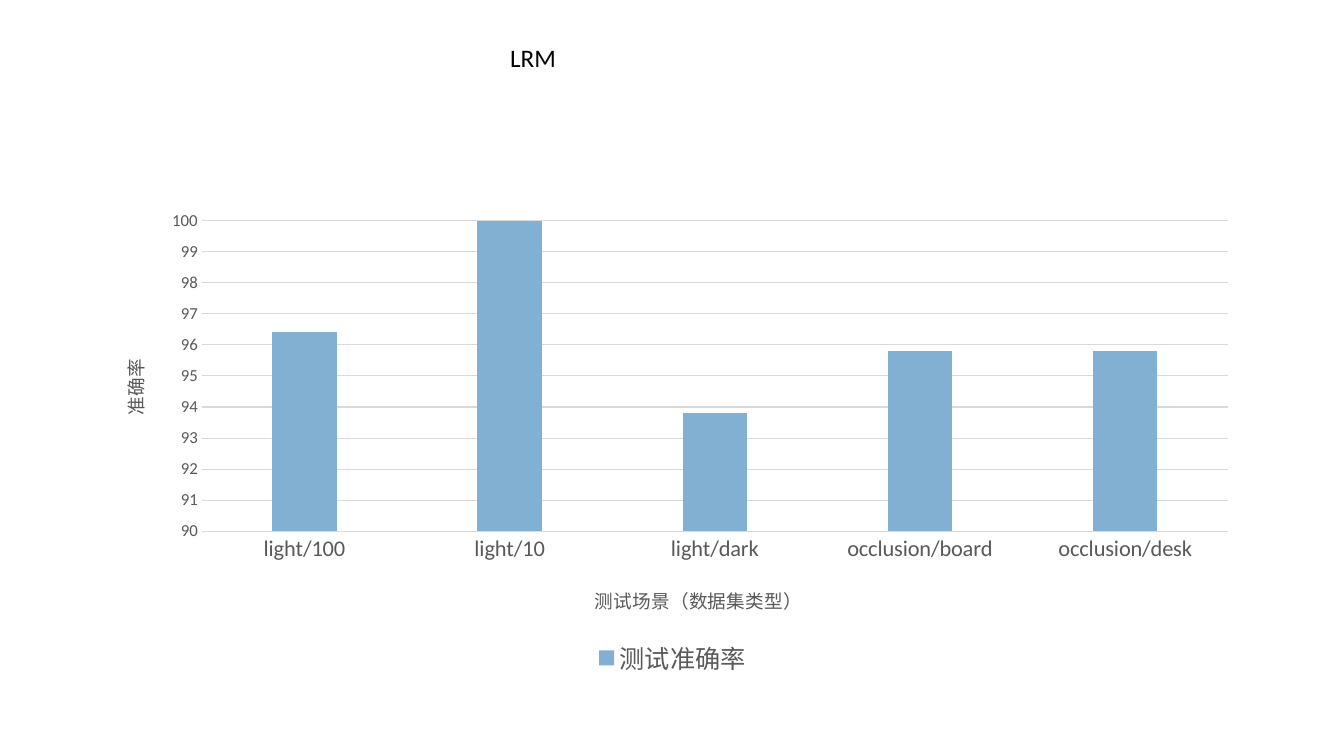
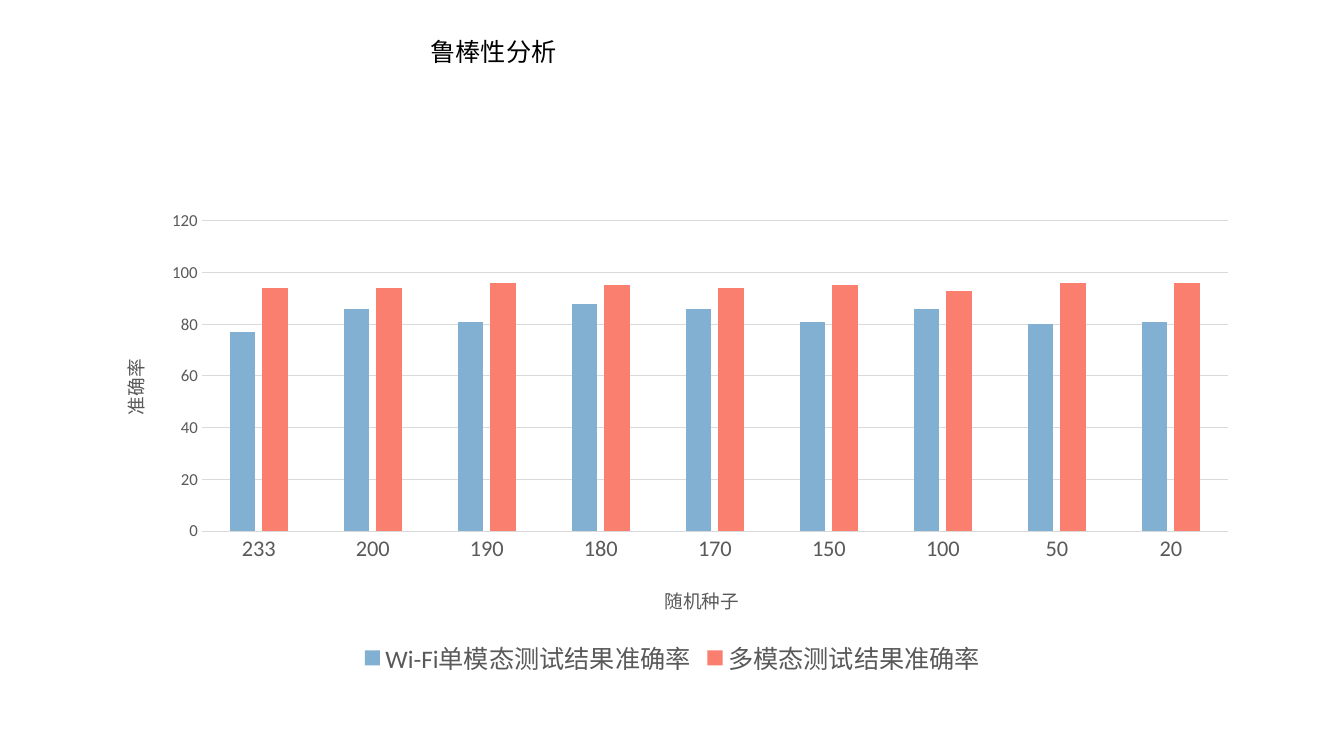
from pptx import Presentation
from pptx.chart.data import CategoryChartData
from pptx.dml.color import RGBColor
from pptx.enum.chart import XL_CHART_TYPE, XL_LEGEND_POSITION, XL_TICK_MARK
from pptx.enum.text import MSO_ANCHOR, MSO_AUTO_SIZE, PP_ALIGN
from pptx.oxml import parse_xml
from pptx.oxml.ns import nsdecls
from pptx.util import Inches, Pt

FONT = "Calibri"
COLORS = {"title": "000000", "label": "595959", "grid": "D9D9D9"}
SERIES_COLORS = ["82B0D2", "FA7F6F"]

SLIDES = [
    {
        "title": "LRM",
        "title_at": (4.96, 0.37, 1, 0.4),
        "category_title": "测试场景（数据集类型）",
        "category_title_left": 0.43,
        "scale": {"minimum_scale": 90, "maximum_scale": 100, "major_unit": 1},
        "categories": ["light/100", "light/10", "light/dark", "occlusion/board", "occlusion/desk"],
        "series": {"测试准确率": [96.4, 100, 93.8, 95.8, 95.8]},
    },
    {
        "title": "鲁棒性分析",
        "title_at": (4.17, 0.31, 2.09, 0.4),
        "category_title": "随机种子",
        "category_title_left": 0.49,
        "scale": {"minimum_scale": 0, "maximum_scale": 120, "major_unit": 20},
        "categories": ["233", "200", "190", "180", "170", "150", "100", "50", "20"],
        "series": {
            "Wi-Fi单模态测试结果准确率": [77, 86, 81, 88, 86, 81, 86, 80, 81],
            "多模态测试结果准确率": [94, 94, 96, 95, 94, 95, 93, 96, 96],
        },
    },
]


def style_font(font, size, color):
    values = {"name": FONT, "size": Pt(size), "bold": False}
    for name, value in values.items():
        setattr(font, name, value)
    font.color.rgb = RGBColor.from_string(COLORS[color])


def place(element, position, **fractions):
    """Fix a chart part at fractions of the chart area."""
    for old_layout in element.xpath("c:layout"):
        element.remove(old_layout)
    target = '<c:layoutTarget val="inner"/>' if "w" in fractions else ""
    modes = "".join(f'<c:{key}Mode val="edge"/>' for key in "xy")
    sizes = "".join(f'<c:{key} val="{value}"/>' for key, value in fractions.items())
    element.insert(position, parse_xml(
        f'<c:layout {nsdecls("c")}><c:manualLayout>{target}{modes}{sizes}'
        "</c:manualLayout></c:layout>"))


deck = Presentation()
deck.slide_width = Inches(13.33)
deck.slide_height = Inches(7.5)
title_only = deck.slide_layouts[5]

for content in SLIDES:
    page = deck.slides.add_slide(title_only)

    # Title
    title = page.shapes.title
    title.left, title.top, title.width, title.height = map(Inches, content["title_at"])
    frame = title.text_frame
    frame.text = content["title"]
    frame_format = {"word_wrap": True, "auto_size": MSO_AUTO_SIZE.NONE,
                    "vertical_anchor": MSO_ANCHOR.TOP}
    for name, value in frame_format.items():
        setattr(frame, name, value)
    para = frame.paragraphs[0]
    para.alignment = PP_ALIGN.LEFT
    style_font(para.runs[0].font, 18, "title")

    # Column chart
    data = CategoryChartData()
    data.categories = content["categories"]
    for name, values in content["series"].items():
        data.add_series(name, values)
    chart = page.shapes.add_chart(
        XL_CHART_TYPE.COLUMN_CLUSTERED,
        Inches(0.92), Inches(2), Inches(11.5), Inches(4.76), data).chart
    chart.has_title = False
    style_font(chart.font, 10, "title")
    place(chart.element.xpath("c:chart/c:plotArea")[0], 0, x=0.094, y=0.04, w=0.885, h=0.647)

    plot = chart.plots[0]
    plot.gap_width = 219
    plot.overlap = -27
    plot.vary_by_categories = False
    for series, color in zip(plot.series, SERIES_COLORS):
        series.format.fill.solid()
        series.format.fill.fore_color.rgb = RGBColor.from_string(color)

    # Axes
    category_axis, value_axis = chart.category_axis, chart.value_axis
    axes = [
        (category_axis, content["category_title"], 16, 0, content["category_title_left"], 0.79),
        (value_axis, "准确率", 12, -5400000, 0.02, 0.32),
    ]
    for axis, text, size, rotation, left, top in axes:
        axis.major_tick_mark = axis.minor_tick_mark = XL_TICK_MARK.NONE
        style_font(axis.tick_labels.font, size, "label")
        axis_title = axis.axis_title
        axis_title.text_frame.text = text
        style_font(axis_title.text_frame.paragraphs[0].runs[0].font, 13.3, "label")
        axis_title.element.xpath(".//a:bodyPr")[0].set("rot", str(rotation))
        place(axis_title.element, 1, x=left, y=top)
    for name, value in content["scale"].items():
        setattr(value_axis, name, value)
    value_axis.format.line.fill.background()
    value_axis.has_major_gridlines = True
    for line in (category_axis.format.line, value_axis.major_gridlines.format.line):
        line.color.rgb = RGBColor.from_string(COLORS["grid"])
        line.width = Pt(0.75)

    # Legend
    chart.has_legend = True
    chart.legend.position = XL_LEGEND_POSITION.BOTTOM
    chart.legend.include_in_layout = False
    style_font(chart.legend.font, 18, "label")

deck.save("out.pptx")
